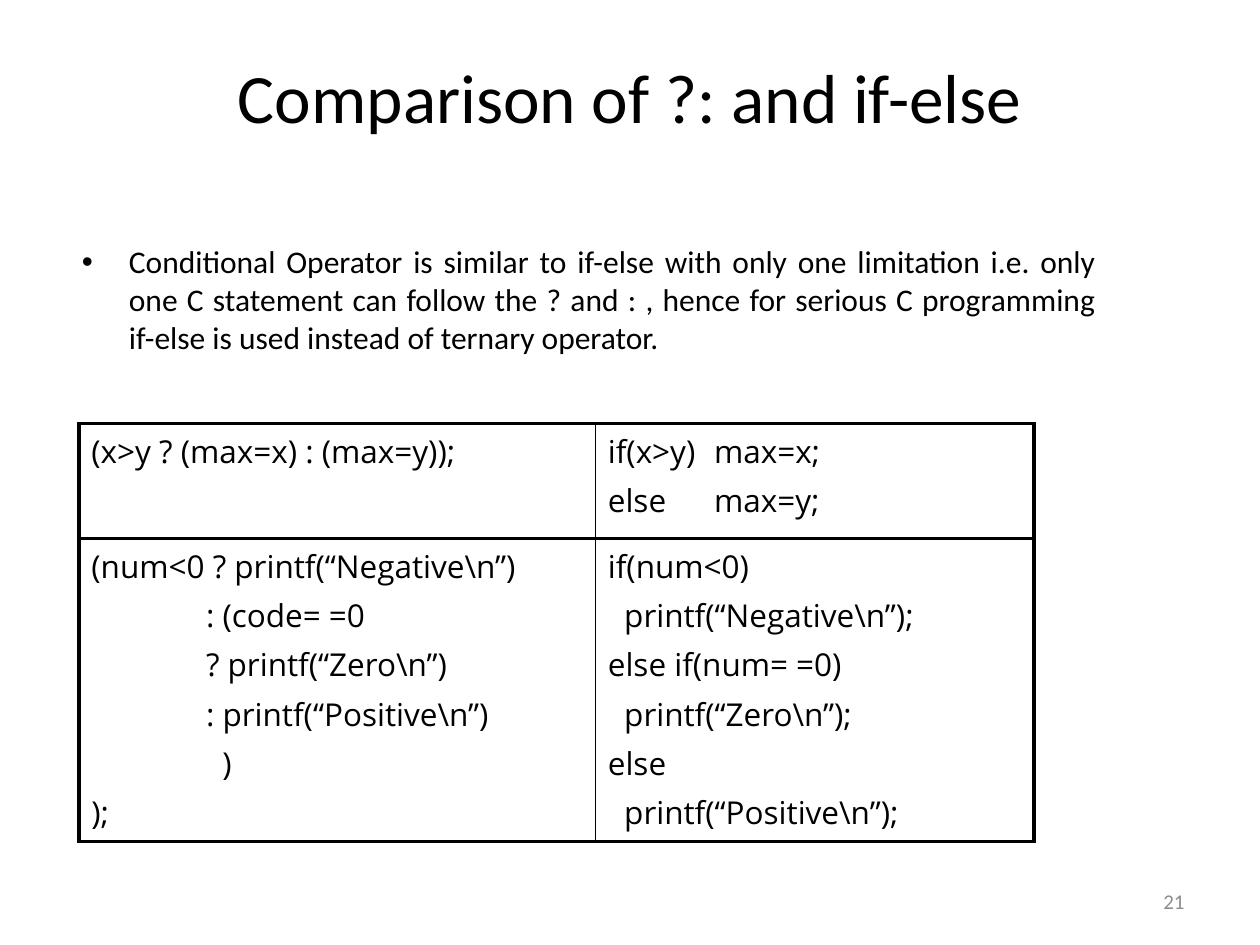
from dataclasses import dataclass

from lxml import etree
from pptx import Presentation
from pptx.dml.color import RGBColor
from pptx.enum.text import MSO_ANCHOR, PP_ALIGN
from pptx.oxml.ns import qn
from pptx.util import Cm, Pt

LEFT, CENTER, RIGHT, JUSTIFY = PP_ALIGN.LEFT, PP_ALIGN.CENTER, PP_ALIGN.RIGHT, PP_ALIGN.JUSTIFY
TOP, MIDDLE = MSO_ANCHOR.TOP, MSO_ANCHOR.MIDDLE


@dataclass(frozen=True)
class Theme:
    text_font: str = "Calibri"
    code_font: str = "Open Sans"
    ink: str = "000000"
    muted: str = "8C8C8C"
    title_size: float = 39.6
    body_size: float = 18
    number_size: float = 12
    paragraph_gap: float = 3.6
    thick: float = 2.25
    thin: float = 1


class SlideBuilder:
    def __init__(self, slide, theme):
        self.slide = slide
        self.theme = theme

    def format(self, paragraph, font, size, color, align=LEFT):
        paragraph.alignment = align
        for run in paragraph.runs:
            run.font.name = font
            run.font.size = Pt(size)
            run.font.color.rgb = RGBColor.from_string(color)

    def text(self, content, box, size, color, align, anchor=MIDDLE):
        shape = self.slide.shapes.add_textbox(*map(Cm, box))
        frame = shape.text_frame
        frame.word_wrap = True
        frame.vertical_anchor = anchor
        frame.text = content
        paragraph = frame.paragraphs[0]
        self.format(paragraph, self.theme.text_font, size, color, align)
        return paragraph

    def bullet(self, content, box, indent):
        theme = self.theme
        paragraph = self.text(content, box, theme.body_size, theme.ink, JUSTIFY, TOP)
        paragraph.space_before = Pt(theme.paragraph_gap)
        properties = paragraph._p.get_or_add_pPr()
        properties.set("marL", str(Cm(indent)))
        properties.set("indent", str(-Cm(indent)))
        etree.SubElement(properties, qn("a:buFont"), typeface="Arial")
        etree.SubElement(properties, qn("a:buChar"), char="•")

    def code_cell(self, cell, lines, tab_stop):
        """Fill a cell with (indent, code) lines; a tab aligns the statements."""
        theme = self.theme
        cell.fill.background()
        cell.text_frame.text = "\n".join(code for _, code in lines)
        for paragraph, (indent, code) in zip(cell.text_frame.paragraphs, lines):
            self.format(paragraph, theme.code_font, theme.body_size, theme.ink)
            paragraph.space_before = Pt(theme.paragraph_gap)
            properties = paragraph._p.get_or_add_pPr()
            properties.set("marL", str(Cm(indent)))
            if "\t" in code:
                tabs = etree.SubElement(properties, qn("a:tabLst"))
                etree.SubElement(tabs, qn("a:tab"), pos=str(Cm(tab_stop)), algn="l")

    def borders(self, cell, widths):
        properties = cell._tc.get_or_add_tcPr()
        for position, (side, width) in enumerate(widths.items()):
            line = etree.Element(qn(f"a:ln{side}"), w=str(Pt(width)))
            fill = etree.SubElement(line, qn("a:solidFill"))
            etree.SubElement(fill, qn("a:srgbClr"), val=self.theme.ink)
            properties.insert(position, line)

    def code_table(self, rows, left, top, widths, heights, tab_stop):
        thick, thin = self.theme.thick, self.theme.thin
        frame = self.slide.shapes.add_table(
            len(rows), len(widths), Cm(left), Cm(top), Cm(sum(widths)), Cm(sum(heights)))
        table = frame.table
        table.first_row = table.horz_banding = False
        for column, width in zip(table.columns, widths):
            column.width = Cm(width)
        for row, height in zip(table.rows, heights):
            row.height = Cm(height)
        last = len(widths) - 1
        for row_index, row in enumerate(rows):
            for column_index, lines in enumerate(row):
                cell = table.cell(row_index, column_index)
                self.code_cell(cell, lines, tab_stop)
                self.borders(cell, {
                    "L": thick if column_index == 0 else thin,
                    "R": thick if column_index == last else thin,
                    "T": thick,
                    "B": thick,
                })


# Code indents in centimetres
STEP, BRANCH, CLOSING = 0.33, 2.31, 2.64

CODE_ROWS = [
    [
        [(0, "(x>y ? (max=x) : (max=y));")],
        [(0, "if(x>y)\tmax=x;"), (0, "else\tmax=y;")],
    ],
    [
        [
            (0, "(num<0 ? printf(“Negative\\n”)"),
            (BRANCH, ": (code= =0"),
            (BRANCH, "? printf(“Zero\\n”)"),
            (BRANCH, ": printf(“Positive\\n”)"),
            (CLOSING, ")"),
            (0, ");"),
        ],
        [
            (0, "if(num<0)"),
            (STEP, "printf(“Negative\\n”);"),
            (0, "else if(num= =0)"),
            (STEP, "printf(“Zero\\n”);"),
            (0, "else"),
            (STEP, "printf(“Positive\\n”);"),
        ],
    ],
]


def main():
    presentation = Presentation()
    presentation.slide_width, presentation.slide_height = Cm(25.4), Cm(19.05)
    theme = Theme()
    builder = SlideBuilder(
        presentation.slides.add_slide(presentation.slide_layouts[6]), theme)

    # Title
    builder.text("Comparison of ?: and if-else", (1.27, 1.19, 22.86, 1.47),
                 theme.title_size, theme.ink, CENTER)

    # Explanation
    builder.bullet(
        "Conditional Operator is similar to if-else with only one limitation i.e. "
        "only one C statement can follow the ? and : , hence for serious C "
        "programming if-else is used instead of ternary operator.",
        (1.4, 4.76, 20.95, 2.84), indent=0.95)

    # Code comparison
    builder.code_table(CODE_ROWS, left=1.59, top=8.54, widths=(10.41, 8.84),
                       heights=(2.32, 6.1), tab_stop=2.14)

    # Slide number
    builder.text("21", (18.21, 17.65, 5.92, 1.02),
                 theme.number_size, theme.muted, RIGHT)

    presentation.save("out.pptx")


if __name__ == "__main__":
    main()
